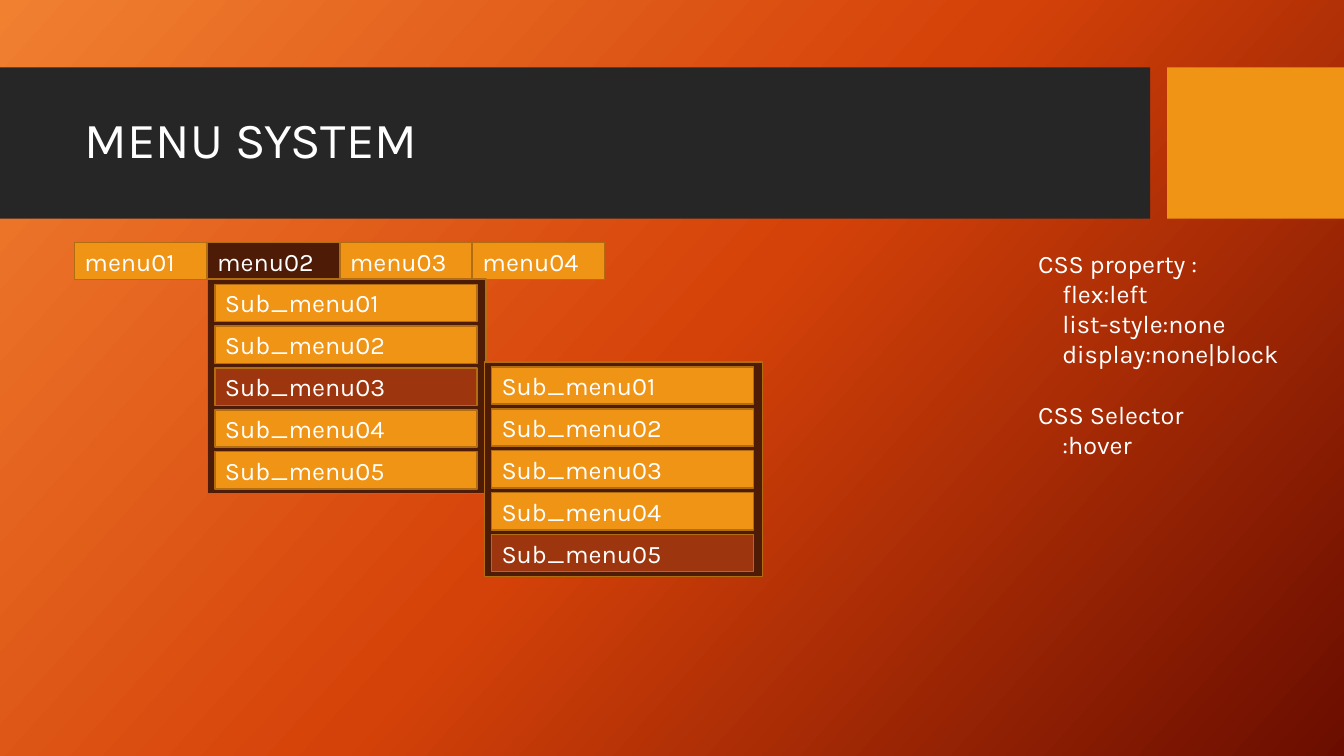
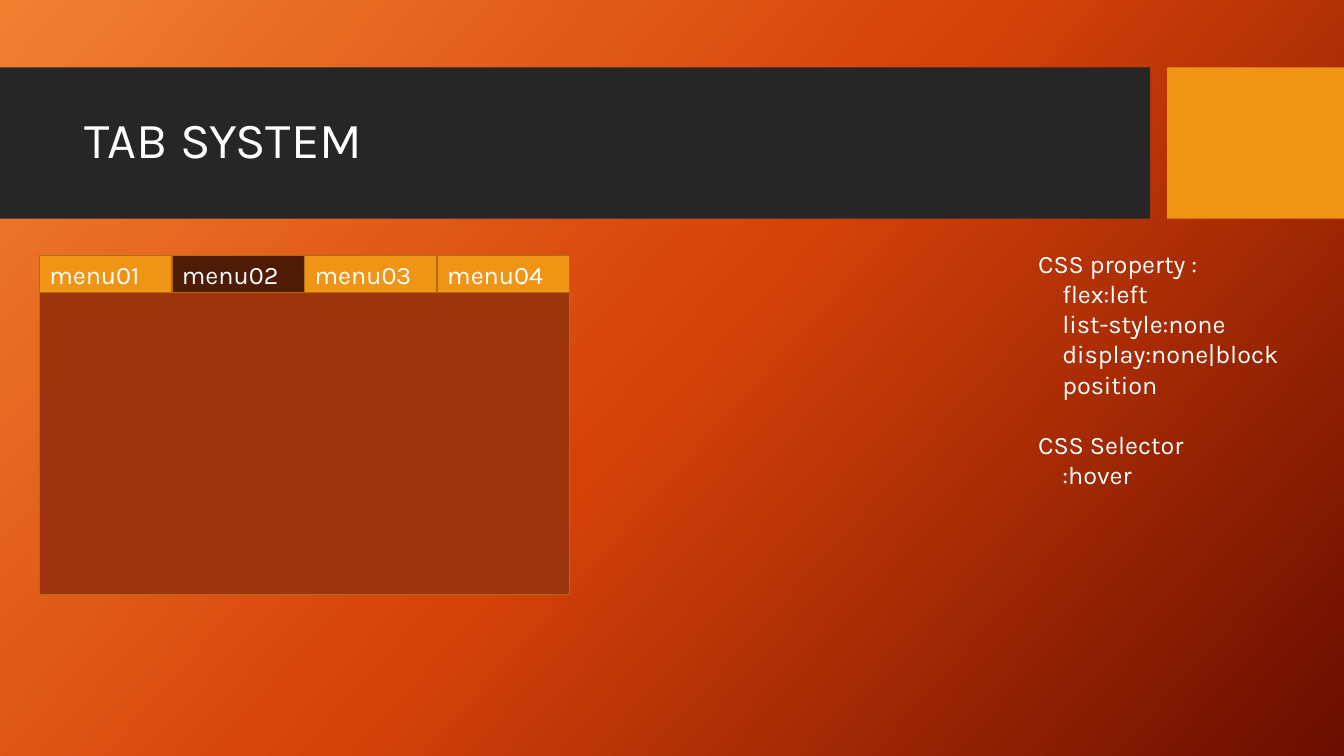
from copy import deepcopy

from pptx import Presentation
from pptx.dml.color import RGBColor
from pptx.enum.shapes import MSO_SHAPE
from pptx.enum.text import MSO_ANCHOR, MSO_AUTO_SIZE, PP_ALIGN
from pptx.oxml.ns import qn
from pptx.util import Inches, Pt

RECT = MSO_SHAPE.RECTANGLE
MIDDLE = MSO_ANCHOR.MIDDLE
LEFT = PP_ALIGN.LEFT
FIXED = MSO_AUTO_SIZE.NONE

FONT = "Karla"
WHITE, DARK, AMBER = "FFFFFF", "262626", "F09415"
BROWN, RUST, EDGE = "4E1B07", "9D360E", "B26D10"
GLOW = [(0, "F18031"), (0.5, "D54209"), (1, "6A0D00")]

BAND_TOP, BAND_HIGH = 8.93, 20
ROW_HIGH, ROW_STEP = 4.93, 5.54
TAB_WIDE, TAB_STEP = 9.84, 9.87
PAD_X, PAD_Y = 0.55, 0.67


def tint(code):
    """Turn a hex string into a colour."""
    return RGBColor.from_string(code)


class Deck:
    """Hold the style and the current slide; lengths are percent of the slide."""

    def __init__(self):
        """Start the deck and paint the shared background."""
        self.prs = Presentation()
        self.prs.slide_width = Inches(13.33)
        self.prs.slide_height = Inches(7.5)
        self.slide = None
        master = self.prs.slide_master
        fill = master.background.fill
        fill.gradient()
        fill.gradient_angle = 318
        stops = master.element.find(".//" + qn("a:gsLst"))
        stops.append(deepcopy(stops[-1]))
        for stop, (place, code) in zip(fill.gradient_stops, GLOW):
            stop.position = place
            stop.color.rgb = tint(code)

    def area(self, left, top, wide, high):
        """Turn percent shares into slide lengths."""
        across, down = self.prs.slide_width, self.prs.slide_height
        return [int(share * full / 100) for share, full in
                zip((left, top, wide, high), (across, down, across, down))]

    def label(self, para, text, size=18):
        """Add one styled run to a paragraph."""
        para.alignment = LEFT
        run = para.add_run()
        run.text = text
        run.font.name = FONT
        run.font.size = Pt(size)
        run.font.color.rgb = tint(WHITE)

    def page(self, text):
        """Open a slide with its bands and title."""
        self.slide = self.prs.slides.add_slide(self.prs.slide_layouts[5])
        self.box(0, BAND_TOP, 85.58, BAND_HIGH, DARK, edge=None)
        self.box(86.85, BAND_TOP, 13.15, BAND_HIGH, AMBER, edge=None)
        title = self.slide.shapes.title
        title.element.getparent().append(title.element)
        title.left, title.top, title.width, title.height = self.area(
            5.55, 10.93, 78.83, 15.73)
        frame = title.text_frame
        frame.auto_size = FIXED
        frame.vertical_anchor = MIDDLE
        para = frame.paragraphs[0]
        para.line_spacing = 0.9
        self.label(para, text, 36)

    def box(self, left, top, wide, high, fill, text="", edge=EDGE):
        """Draw a filled box, with a label if given."""
        shape = self.slide.shapes.add_shape(
            RECT, *self.area(left, top, wide, high))
        shape.shadow.inherit = False
        shape.fill.solid()
        shape.fill.fore_color.rgb = tint(fill)
        if edge:
            shape.line.color.rgb = tint(edge)
            shape.line.width = Pt(1)
        else:
            shape.line.fill.background()
        if text:
            shape.text_frame.vertical_anchor = MIDDLE
            self.label(shape.text_frame.paragraphs[0], text)

    def tabs(self, left, top, live=2):
        """Draw the row of four menu tabs."""
        for num in range(1, 5):
            self.box(left + (num - 1) * TAB_STEP, top, TAB_WIDE, ROW_HIGH,
                     BROWN if num == live else AMBER, f"menu{num:02}")

    def menu(self, left, top, live):
        """Draw a panel of five menu rows."""
        self.box(left, top, 20.7, 28.4, BROWN)
        for num in range(1, 6):
            self.box(left + PAD_X, top + PAD_Y + (num - 1) * ROW_STEP,
                     19.5, ROW_HIGH, RUST if num == live else AMBER,
                     f"Sub_menu{num:02}")

    def notes(self, high, groups):
        """Set headings, each with its indented lines."""
        shape = self.slide.shapes.add_textbox(
            *self.area(76.5, 32.13, 20.02, high))
        frame = shape.text_frame
        frame.word_wrap = True
        para = frame.paragraphs[0]
        for num, (head, lines) in enumerate(groups):
            if num:
                para = frame.add_paragraph()
                para.space_before = Pt(21.6)
            self.label(para, head)
            for line in lines:
                para = frame.add_paragraph()
                para._p.get_or_add_pPr().set("marL", str(Inches(0.24)))
                self.label(para, line)


RULES = ["flex:left", "list-style:none", "display:none|block"]
HOVER = ("CSS Selector", [":hover"])

deck = Deck()

deck.page("MENU SYSTEM")
deck.tabs(5.55, 32.07)
deck.menu(15.45, 36.93, live=3)
deck.menu(36.03, 47.87, live=5)
deck.notes(29.6, [("CSS property :", RULES), HOVER])

deck.page("TAB SYSTEM")
deck.tabs(2.93, 33.8)
deck.box(2.93, 38.67, 39.45, 40, RUST)
deck.notes(33.6, [("CSS property :", RULES + ["position"]), HOVER])

deck.prs.save("out.pptx")
